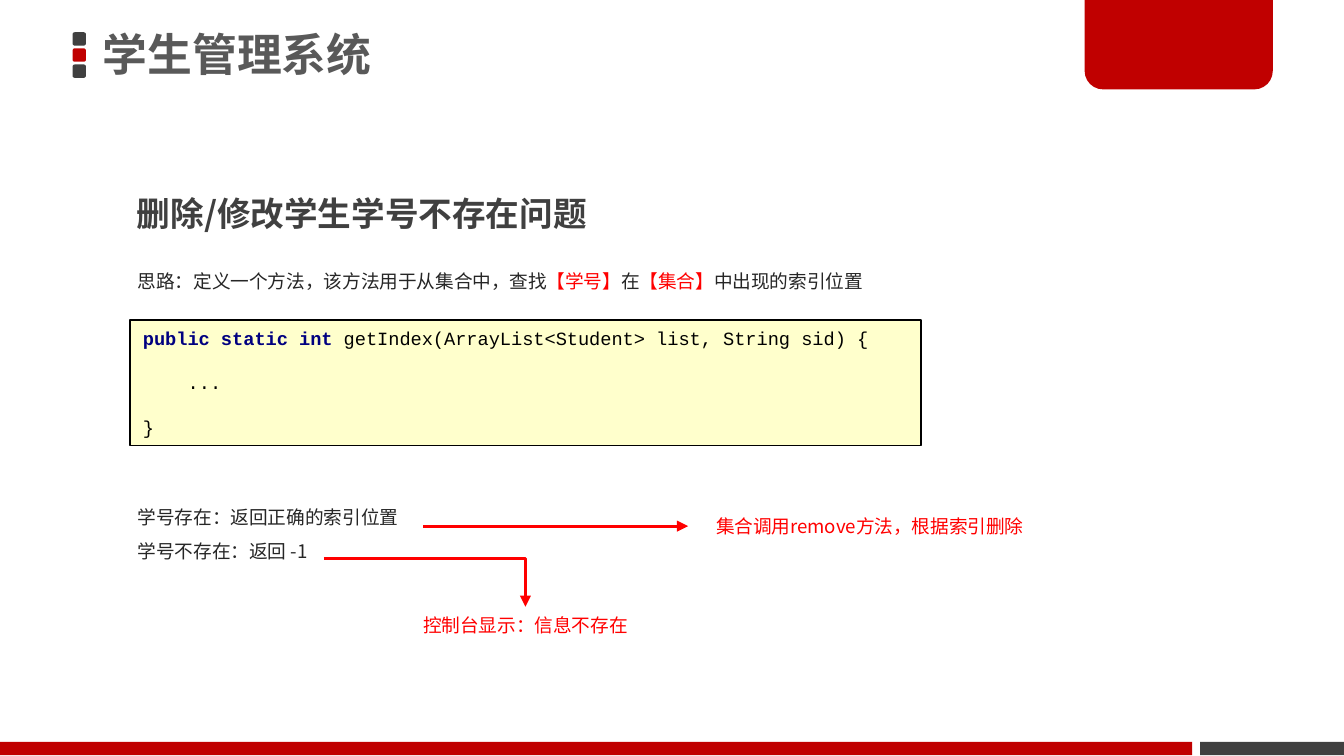
from collections import namedtuple
from lxml import etree
from pptx import Presentation, util as u
from pptx.dml import color
from pptx.enum import shapes, text
from pptx.oxml import ns

Box = namedtuple("Box", "left top width height")
COLUMN = u.Inches(0.1)
SANS, MONO = "Noto Sans CJK SC", "Courier New"
RED, DARK, INK, ALERT = "C00000", "404040", "262626", "FF0000"


def grid(*lengths):
    return [round(length * COLUMN) for length in lengths]


def paint(target, hex_color):
    target.solid()
    target.fore_color.rgb = color.RGBColor.from_string(hex_color)


def child(parent, tag, **attributes):
    return etree.SubElement(parent, ns.qn(tag), **attributes)


def write(holder, paragraphs, size=10, font=SANS, ink=INK, spacing=1.0, gaps=(),
          indents=(), anchor=text.MSO_ANCHOR.TOP, inset=(0.1, 0.05), wrap=True):
    frame = holder.text_frame
    frame.auto_size = text.MSO_AUTO_SIZE.NONE
    frame.word_wrap, frame.vertical_anchor = wrap, anchor
    frame.margin_left = frame.margin_right = u.Inches(inset[0])
    frame.margin_top = frame.margin_bottom = u.Inches(inset[1])
    for index, runs in enumerate(paragraphs):
        paragraph = frame.add_paragraph() if index else frame.paragraphs[0]
        paragraph.alignment = text.PP_ALIGN.LEFT
        paragraph.line_spacing = spacing
        paragraph.space_before = u.Pt(gaps[index] if gaps else 0)
        properties = paragraph._p.get_or_add_pPr()
        properties.set("marL", str(u.Pt(indents[index] if indents else 0)))
        properties.set("indent", "0")
        child(properties, "a:buNone")
        for words, run_ink, bold in runs:
            run = paragraph.add_run()
            run.text = words
            run.font.size, run.font.name, run.font.bold = u.Pt(size), font, bold
            paint(run.font.fill, run_ink or ink)
            child(run._r.get_or_add_rPr(), "a:ea", typeface=font)


def place(holder, box):
    holder.left, holder.top, holder.width, holder.height = grid(*box)


def block(slide, box, fill, kind=shapes.MSO_SHAPE.RECTANGLE, outline=None):
    shape = slide.shapes.add_shape(kind, *grid(*box))
    shape.shadow.inherit = False
    paint(shape.fill, fill)
    if outline:
        paint(shape.line.fill, outline)
        shape.line.width = u.Pt(1)
    else:
        shape.line.fill.background()
    return shape


def label(slide, box, words, bold=False, **style):
    write(slide.shapes.add_textbox(*grid(*box)), [[(words, None, bold)]], **style)


def arrow(slide, kind, start, end, bend=None):
    connector = slide.shapes.add_connector(kind, *grid(*start, *end))
    paint(connector.line.fill, ALERT)
    connector.line.width = u.Pt(1.5)
    properties = connector._element.spPr
    child(connector.line._get_or_add_ln(), "a:tailEnd", type="triangle")
    child(properties, "a:effectLst")
    if bend:
        guides = properties.find(ns.qn("a:prstGeom")).find(ns.qn("a:avLst"))
        child(guides, "a:gd", name="adj1", fmla=f"val {round(bend * 100000)}")


def header(slide, box):
    for row, fill in enumerate((DARK, RED, DARK)):
        marker = Box(box.left + 5.4, box.top + 2.4 + 1.2 * row, 1, 1)
        block(slide, marker, fill, shapes.MSO_SHAPE.ROUNDED_RECTANGLE)
    tab = block(slide, Box(box.left + 80.7, box.top - 0.2, 14, 6.85), RED,
                shapes.MSO_SHAPE.ROUND_2_SAME_RECTANGLE)
    tab.rotation = 180
    tab.adjustments[0] = 0.2
    title = slide.shapes.title
    place(title, Box(box.left + 6.85, box.top - 0.2, 58.9, 8.9))
    write(title, [[("学生管理系统", None, True)]], size=24, ink="595959", spacing=0.9,
          anchor=text.MSO_ANCHOR.MIDDLE, inset=(0.08, 0.04))


def footer(slide, box):
    gap, short = 0.6, 10.7
    block(slide, Box(box.left, box.top, box.width - short - gap, box.height), RED)
    block(slide, Box(box.left + box.width - short, box.top, short, box.height), DARK)


def explanation(slide, box):
    label(slide, Box(box.left, box.top, box.width, 5.5), "删除/修改学生学号不存在问题",
          size=18, ink=DARK, spacing=1.5, bold=True)
    body = slide.placeholders[1]
    place(body, Box(box.left + 0.05, box.top + 6.4, 67.6, 23.6))
    idea = [("思路：定义一个方法，该方法用于从集合中，查找", None, False),
            ("【学号】", ALERT, False), ("在", None, False),
            ("【集合】", ALERT, False), ("中出现的索引位置", None, False)]
    write(body, [idea, [("学号存在：返回正确的索引位置", None, False)],
                 [("学号不存在：返回 -1", None, False)]], spacing=1.5, gaps=(0, 108.5, 0))


def code(slide, box):
    panel = block(slide, box, "FFFFCC", outline="000000")
    signature = [("public static int ", "000080", True),
                 ("getIndex(ArrayList<Student> list, String sid) {", None, False)]
    write(panel, [signature, [("...", None, False)], [("}", None, False)]],
          font=MONO, ink="000000", gaps=(0, 12, 12), indents=(0, 24, 0))


def outcomes(slide, box):
    label(slide, Box(box.left + 28.2, box.top, 25.6, 2.7),
          "集合调用remove方法，根据索引删除", ink=ALERT, wrap=False)
    label(slide, Box(box.left + 6.4, box.top + 7.35, 17.2, 2.7),
          "控制台显示：信息不存在", ink=ALERT, wrap=False)
    found = box.top + 1.35
    arrow(slide, shapes.MSO_CONNECTOR.STRAIGHT, (box.left + 7.4, found), (box.left + 27.1, found))
    arrow(slide, shapes.MSO_CONNECTOR.ELBOW, (box.left, box.top + 3.75),
          (box.left + 15, box.top + 7.35), bend=1)


def main():
    deck = Presentation()
    deck.slide_width = u.Inches(10)
    deck.slide_height = deck.slide_width * 9 // 16
    slide = deck.slides.add_slide(deck.slide_layouts[1])
    header(slide, Box(0, 0, 100, 8.7))
    footer(slide, Box(0, 55.2, 100, 1))
    explanation(slide, Box(9.2, 12.35, 70.7, 30))
    code(slide, Box(9.65, 23.8, 58.9, 9.35))
    outcomes(slide, Box(24.1, 37.8, 53.8, 10.1))
    deck.save("out.pptx")


if __name__ == "__main__":
    main()
